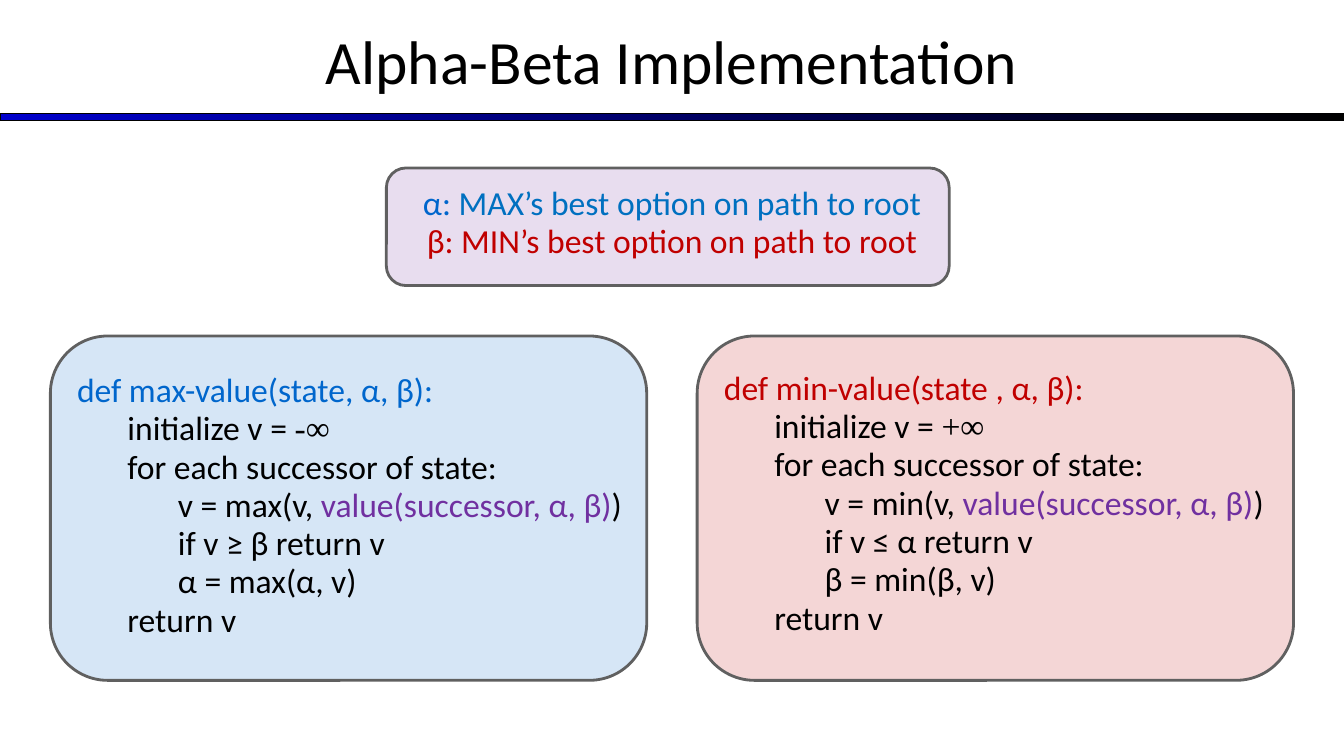
from lxml import etree
from pptx import Presentation
from pptx.dml.color import RGBColor
from pptx.enum.shapes import MSO_SHAPE
from pptx.enum.text import MSO_ANCHOR, PP_ALIGN
from pptx.oxml.ns import qn
from pptx.util import Emu, Pt

RECT, ROUND = MSO_SHAPE.RECTANGLE, MSO_SHAPE.ROUNDED_RECTANGLE
LEFT, CENTER = PP_ALIGN.LEFT, PP_ALIGN.CENTER
TOP, MIDDLE = MSO_ANCHOR.TOP, MSO_ANCHOR.MIDDLE
BLACK, BLUE, SKY, RED, PURPLE = "000000", "0066CC", "0070C0", "C00000", "7030A0"
SANS, SERIF = "Calibri", "Times New Roman"
WIDE, HIGH, STEP = 1280, 720, 48


def px(n):
    return Emu(n * 9525)


def color(code):
    return RGBColor.from_string(code)


def add_shape(slide, kind, box, edge, weight):
    shape = slide.shapes.add_shape(kind, *map(px, box))
    shape.shadow.inherit = False
    shape.line.color.rgb = color(edge)
    shape.line.width = Pt(weight)
    return shape


def add_panel(slide, box, tint):
    """Rounded box with a 16% tint."""
    panel = add_shape(slide, ROUND, box, "606060", 2)
    panel.fill.solid()
    panel.fill.fore_color.rgb = color(tint)
    tone = panel.fill._xPr.find(qn("a:solidFill"))[0]
    etree.SubElement(tone, qn("a:alpha")).set("val", "16000")


def add_text(slide, box, lines, size=24, align=LEFT, anchor=TOP, pitch=0.8):
    """Each line is a level and runs of (text, colour[, font])."""
    frame = slide.shapes.add_textbox(*map(px, box)).text_frame
    frame.word_wrap = True
    frame.vertical_anchor = anchor
    for i, (level, *runs) in enumerate(lines):
        para = frame.add_paragraph() if i else frame.paragraphs[0]
        para.alignment = align
        para.line_spacing = pitch
        para.space_before = Pt(4.3 if i else 0)
        para.font.size = Pt(size)
        para.font.name = SANS
        para._p.get_or_add_pPr().set("marL", str(px(level * STEP)))
        for text, tone, *face in runs:
            run = para.add_run()
            run.text = text
            run.font.color.rgb = color(tone)
            if face:
                run.font.name = face[0]


def add_header(slide, title):
    rule = add_shape(slide, RECT, (0, 108, WIDE, 7), BLACK, 0.75)
    rule.fill.gradient()
    rule.fill.gradient_angle = 0
    for stop, tone in zip(rule.fill.gradient_stops, ("0000CC", BLACK)):
        stop.color.rgb = color(tone)
    add_text(slide, (0, -3, WIDE, 120), [(0, (title, BLACK))],
             44, CENTER, MIDDLE, 1)


def add_legend(slide, box):
    x, y, w, h = box
    add_panel(slide, box, PURPLE)
    add_text(slide, (x, y + 16, w + 8, h - 16), [
        (0, ("α: ", BLUE), ("MAX’s best option on path to root", SKY)),
        (0, ("β: MIN’s best option on path to root", RED)),
    ], align=CENTER)


def add_code(slide, box, drop, tint, name, args, start, test, bound):
    x, y, w, h = box
    add_panel(slide, box, tint)
    add_text(slide, (x + 16, y + drop, w, h - 2 * drop), [
        (0, (f"def {name}-value({args}):", tint)),
        (1, ("initialize v = ", BLACK), (start, BLACK, SERIF)),
        (1, ("for each successor of state:", BLACK)),
        (2, (f"v = {name}(v, ", BLACK),
         ("value(successor, α, β)", PURPLE), (")", BLACK)),
        (2, (f"if v {test} return v", BLACK)),
        (2, (f"{bound} = {name}({bound}, v)", BLACK)),
        (1, ("return v", BLACK)),
    ])


def main():
    deck = Presentation()
    deck.slide_width, deck.slide_height = px(WIDE), px(HIGH)
    slide = deck.slides.add_slide(deck.slide_layouts[6])
    add_header(slide, "Alpha-Beta Implementation")
    add_legend(slide, (368, 160, 536, 112))
    add_code(slide, (48, 320, 568, 328), 34, BLUE,
             "max", "state, α, β", "-∞", "≥ β", "α")
    add_code(slide, (664, 320, 568, 328), 32, RED,
             "min", "state , α, β", "+∞", "≤ α", "β")
    deck.save("out.pptx")


if __name__ == "__main__":
    main()
